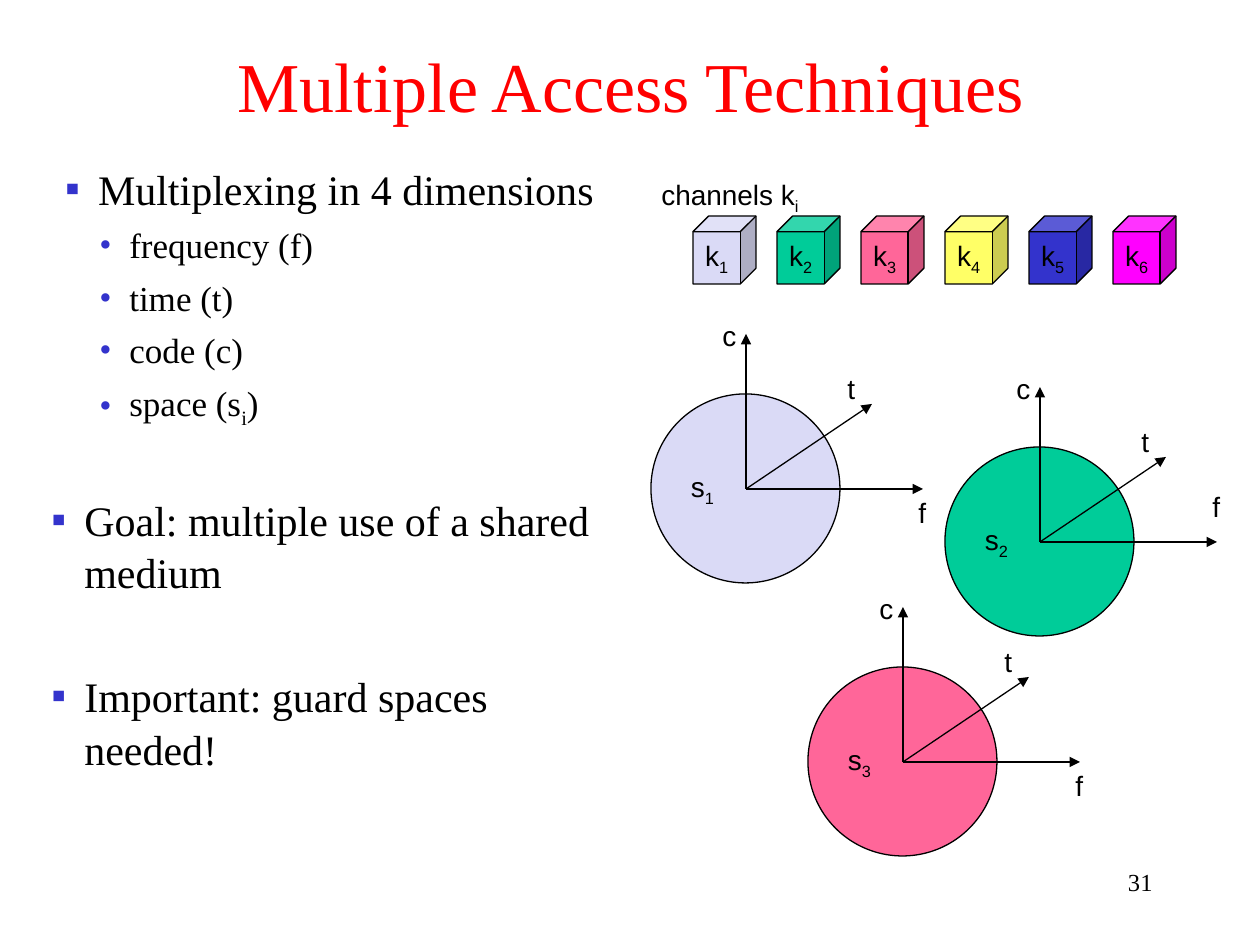
from lxml import etree
from pptx import Presentation
from pptx.dml.color import RGBColor
from pptx.enum.shapes import MSO_CONNECTOR, MSO_SHAPE
from pptx.enum.text import MSO_ANCHOR, MSO_AUTO_SIZE, PP_ALIGN
from pptx.oxml.ns import qn
from pptx.util import Pt

PX = 7257
LEFT, CENTER, RIGHT = PP_ALIGN.LEFT, PP_ALIGN.CENTER, PP_ALIGN.RIGHT
MIDDLE = MSO_ANCHOR.MIDDLE
FIT, FIXED = MSO_AUTO_SIZE.SHAPE_TO_FIT_TEXT, MSO_AUTO_SIZE.NONE
CUBE, OVAL, STRAIGHT = MSO_SHAPE.CUBE, MSO_SHAPE.OVAL, MSO_CONNECTOR.STRAIGHT
SANS, SERIF = "Arial", "Times New Roman"
colour = RGBColor.from_string


def write(frame, text, *, size=16, font=SANS, color="000000", align=LEFT,
          before=0, spacing=None, bullet=None, margin=0, hang=0):
    """Fill the next paragraph; parts between underscores are subscripts."""
    para = frame.paragraphs[0]
    if para.runs:
        para = frame.add_paragraph()
    para.alignment = align
    para.space_before = Pt(before)
    if spacing:
        para.line_spacing = spacing
    if bullet:
        props = para._p.get_or_add_pPr()
        props.set("marL", str(margin * PX))
        props.set("indent", str(-hang * PX))
        tint = etree.SubElement(props, qn("a:buClr"))
        etree.SubElement(tint, qn("a:srgbClr"), val="3333CC")
        etree.SubElement(props, qn("a:buFont"), typeface=font)
        etree.SubElement(props, qn("a:buChar"), char=bullet)
    for index, part in enumerate(text.split("_")):
        if part:
            span = para.add_run()
            span.text = part
            span.font.size = Pt(size)
            span.font.name = font
            span.font.color.rgb = colour(color)
            if index % 2:
                span._r.get_or_add_rPr().set("baseline", "-25000")


def add_box(left, top, width, height, *, shape=None, fill=None, wrap=False):
    place = left * PX, top * PX, width * PX, height * PX
    if shape is None:
        box = page.shapes.add_textbox(*place)
        box.text_frame.auto_size = FIXED if wrap else FIT
    else:
        box = page.shapes.add_shape(shape, *place)
        box.shadow.inherit = False
        box.fill.solid()
        box.fill.fore_color.rgb = colour(fill)
        box.line.color.rgb = colour("000000")
        box.line.width = Pt(0.75)
        box.text_frame.vertical_anchor = MIDDLE
    box.text_frame.word_wrap = wrap
    return box.text_frame


deck = Presentation()
deck.slide_width, deck.slide_height = 1260 * PX, 945 * PX
page = deck.slides.add_slide(deck.slide_layouts[6])

title = add_box(29, 25, 1203, 118, wrap=True)
title.vertical_anchor = MIDDLE
write(title, "Multiple Access Techniques", size=40, font=SERIF, color="FF0000", align=CENTER)

body = add_box(39, 155, 581, 763, wrap=True)
main = dict(size=24, font=SERIF, spacing=1.04, bullet="▪", margin=33, hang=33)
write(body, "Multiplexing in 4 dimensions", align=CENTER, **main)
for dimension in ("frequency (f)", "time (t)", "code (c)", "space (s_i_)"):
    write(body, dimension, size=20, font=SERIF, before=5, spacing=1.04,
          bullet="•", margin=78, hang=30)
write(body, "Goal: multiple use of a shared medium", before=36, **main)
write(body, "Important: guard spaces needed!", before=41, **main)

write(add_box(649, 171, 163, 52), "channels k_i_")
channel_fills = ("DADAF6", "00CC99", "FF6699", "FFFF66", "3333CC", "FF00FF")
for index, fill in enumerate(channel_fills):
    cube = add_box(693 + 84 * index, 216, 63, 68, shape=CUBE, fill=fill)
    write(cube, f"k_{index + 1}_", align=CENTER)

radius = 95
spaces = ((746, 489, 0), (1040, 542, -59), (903, 762, 0))
for index, (x, y, f_shift) in enumerate(spaces):
    sphere = add_box(x - radius, y - radius, 189, 189, shape=OVAL, fill=channel_fills[index])
    write(sphere, f"s_{index + 1}_")
    for across, down in ((126, -85), (0, -155), (177, 0)):
        axis = page.shapes.add_connector(
            STRAIGHT, x * PX, y * PX, (x + across) * PX, (y + down) * PX)
        axis.line.color.rgb = colour("000000")
        axis.line.width = Pt(0.75)
        etree.SubElement(axis.line._get_or_add_ln(), qn("a:tailEnd"), type="triangle")
        etree.SubElement(axis._element.spPr, qn("a:effectLst"))
    for name, across, down, width in (
            ("f", 160, f_shift, 33), ("t", 89, -124, 33), ("c", -36, -177, 39)):
        write(add_box(x + across, y + down, width, 47), name)

write(add_box(903, 861, 262, 63, wrap=True), "31", size=14, font=SERIF, align=RIGHT)

deck.save("out.pptx")
